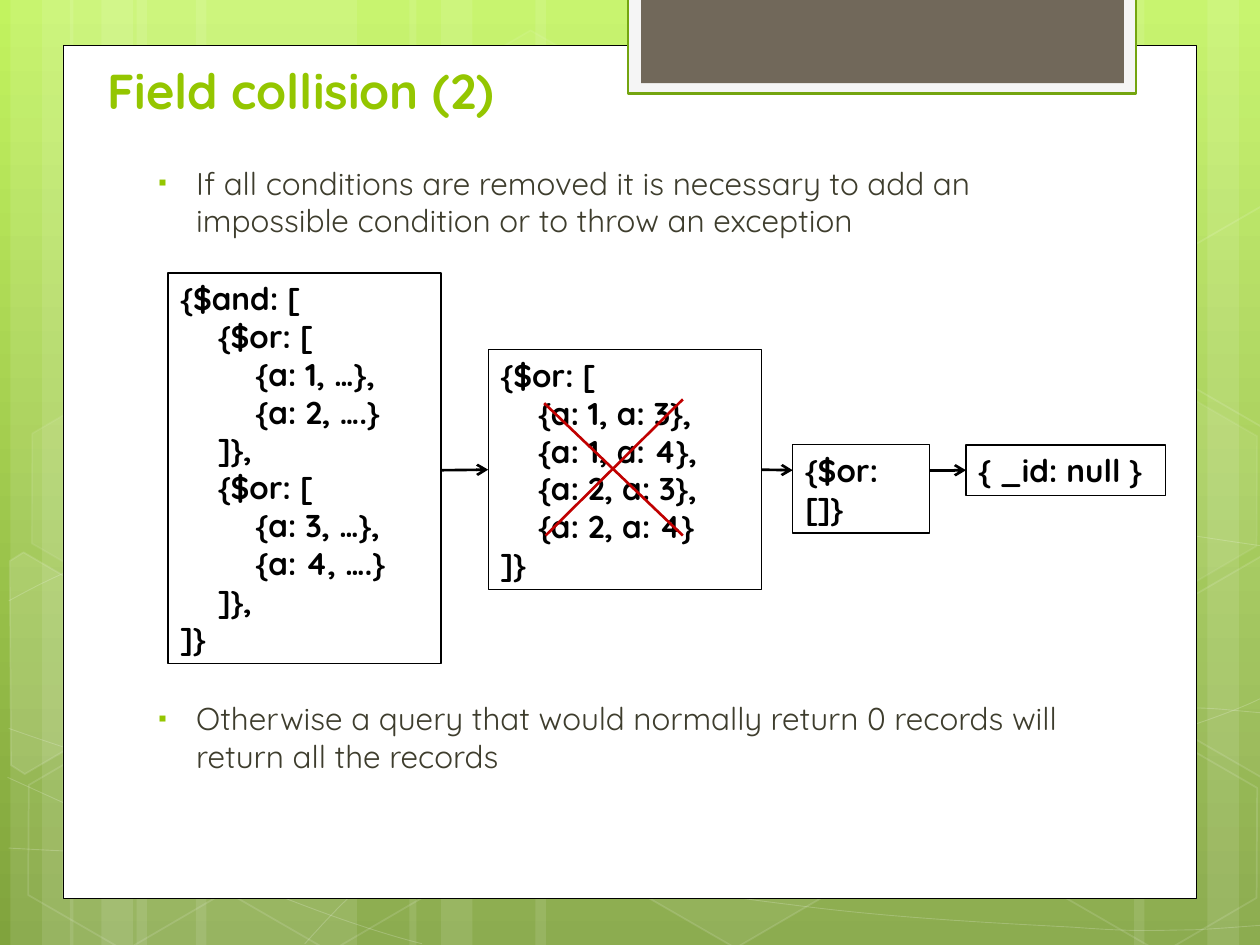
import math
from dataclasses import dataclass
from typing import Optional

from lxml import etree
from pptx import Presentation
from pptx.dml.color import RGBColor
from pptx.enum import shapes as es, text as et
from pptx.oxml.ns import qn
from pptx.util import Pt

FONT, WHITE, BLACK, GREEN, RED = "Quicksand", "FFFFFF", "000000", "94C600", "C00000"
TAB = 21.5  # indent of one nesting level
TILT = 30  # rotation of the hexagons


@dataclass
class Hexagon:
    x: float
    y: float
    fill_alpha: int
    line_alpha: int = 12


@dataclass
class CutHexagon:
    center: tuple
    points: list
    fill_alpha: int = 0


@dataclass
class CodeBox:
    x: float
    y: float
    w: float
    h: float
    lines: list  # (depth, text)


STRIPES = [(78, 126), (6, 36), (24, 60), (112, 126), (40, 36), (58, 60),
           (528, 126), (690, 36), (648, 60), (306, 222), (234, 36), (252, 60)]

# Start point, then three Bezier points for each segment
CURVES = [
    [(5, 484.6), (43.9, 486.7), (82.8, 488.9), (136.8, 488.2), (190.8, 487.4), (257.8, 486),
     (329.8, 478.8), (401.8, 471.6), (504, 457.9), (570.2, 444.2), (635.8, 430.6),
     (703.4, 409), (725, 396.7)],
    [(5, 343.4), (25.9, 331.9), (46.8, 321.1), (87.1, 310.3), (128.2, 299.5), (186.5, 283.7),
     (249.8, 278.6), (313.9, 273.6), (391.7, 272.9), (470.9, 278.6), (550.1, 284.4),
     (681.8, 306.7), (725, 312.5)],
    [(4.3, 444.2), (91.4, 483.8), (177.8, 523.4), (241.2, 539.3)],
    [(5, 416.2), (27.4, 424.1), (50.4, 432), (92.2, 443.5), (133.9, 454.3), (196.6, 472.3),
     (257, 484.6), (316.8, 496.8), (392.4, 509.8), (452.2, 517), (511.9, 524.9), (576, 527.8),
     (614.2, 529.9), (652.3, 532.8), (661.7, 531.4), (680.4, 531.4), (699, 530.6),
     (712, 529.2), (725, 528.5)],
    [(174.2, 539.3), (187.2, 524.9), (200.2, 510.5), (217.4, 497.5), (234.7, 483.8),
     (259.2, 470.2), (279.4, 460.1), (299.5, 450), (311.8, 445.7), (337.7, 438.5),
     (364.3, 431.3), (412.6, 421.2), (437.8, 416.2), (463.7, 411.1), (467.3, 411.1),
     (489.6, 409.7), (511.9, 407.5), (547.2, 405.4), (571.7, 404.6), (596.9, 403.9),
     (637.9, 404.6), (637.9, 404.6), (654, 404.6), (670, 404.6), (686.2, 404.6),
     (699, 405), (712, 406.8), (724.3, 407.5)],
]

HEXAGONS = [
    Hexagon(240.5, 26, 4, 8), Hexagon(357, 424, 6), Hexagon(8, 425.5, 0),
    Hexagon(10, 224.6, 7, 8), Hexagon(125.3, 426, 0), Hexagon(542.2, 326, 10),
    Hexagon(600.5, 427, 0), Hexagon(600.5, 226, 7, 8),
]

CUT_HEXAGONS = [
    CutHexagon((25.9, 385.9), [(5.8, 320.4), (13.7, 315.4), (69.1, 347.8), (68.4, 410.4),
                               (14.4, 442.1), (6.5, 437)], 10),
    CutHexagon((709.2, 374.4), [(666.7, 349.2), (721.4, 317.5), (726.5, 321.1),
                                (726.5, 441.4), (721.4, 444.2), (666.7, 412.6)], 4),
    CutHexagon((709.2, 173.5), [(666.7, 149), (721.4, 117.4), (727.2, 121), (726.5, 241.2),
                                (721.4, 244.1), (666.7, 212.4)]),
]

AND_BOX = CodeBox(96, 156, 156, 223.2, [
    (0, "{$and: ["), (1, "{$or: ["), (2, "{a: 1, …},"), (2, "{a: 2, ….}"), (1, "]},"),
    (1, "{$or: ["), (2, "{a: 3, …},"), (2, "{a: 4, ….}"), (1, "]},"), (0, "]}")])
OR_BOX = CodeBox(279, 199.9, 156, 137, [
    (0, "{$or: ["), (1, "{a: 1, a: 3},"), (1, "{a: 1, a: 4},"), (1, "{a: 2, a: 3},"),
    (1, "{a: 2, a: 4}"), (0, "]}")])
EMPTY_BOX = CodeBox(453, 254.2, 78, 50.4, [(0, "{$or: []}")])
NULL_BOX = CodeBox(552, 254.2, 114, 29, [(0, "{ _id: null }")])


def rgb(hex_: str) -> RGBColor:
    return RGBColor.from_string(hex_)


def assign(obj, **values) -> None:
    for name, value in values.items():
        setattr(obj, name, value)


def set_alpha(parent, percent: int) -> None:
    clr = parent.find(qn("a:solidFill"))[0]
    etree.SubElement(clr, qn("a:alpha"), val=str(percent * 1000))


def paint(sp, fill: Optional[str] = None, line: Optional[str] = None, width: float = 1,
          fill_alpha: int = 100, line_alpha: int = 100) -> None:
    sp.shadow.inherit = False
    pr = sp._element.spPr
    if fill and fill_alpha:
        sp.fill.solid()
        sp.fill.fore_color.rgb = rgb(fill)
        if fill_alpha < 100:
            set_alpha(pr, fill_alpha)
    else:
        sp.fill.background()
    if line:
        sp.line.color.rgb = rgb(line)
        sp.line.width = Pt(width)
        if line_alpha < 100:
            set_alpha(pr.find(qn("a:ln")), line_alpha)
    else:
        sp.line.fill.background()


def add_shape(s, x: float, y: float, w: float, h: float, kind=es.MSO_SHAPE.RECTANGLE):
    return s.shapes.add_shape(kind, Pt(x), Pt(y), Pt(w), Pt(h))


def add_outline(s, points: list, close: bool):
    pts = [(Pt(x), Pt(y)) for x, y in points]
    builder = s.shapes.build_freeform(*pts[0])
    builder.add_line_segments(pts[1:], close=close)
    return builder.convert_to_shape()


def add_curve(s, points: list):
    """Add an outline and turn each three line segments into one Bezier segment."""
    sp = add_outline(s, points, close=False)
    lines = list(sp._element.iter(qn("a:lnTo")))
    for i in range(0, len(lines), 3):
        bezier = etree.SubElement(lines[i].getparent(), qn("a:cubicBezTo"))
        for ln in lines[i:i + 3]:
            bezier.append(ln[0])
            ln.getparent().remove(ln)
    return sp


def add_cut_hexagon(s, cut: CutHexagon):
    cx, cy = cut.center
    cos, sin = math.cos(math.radians(TILT)), math.sin(math.radians(TILT))
    upright = [(cx + (x - cx) * cos + (y - cy) * sin, cy + (y - cy) * cos - (x - cx) * sin)
               for x, y in cut.points]
    sp = add_outline(s, upright, close=True)
    sp.rotation = TILT
    return sp


def add_text(p, text: str, size: float, color: str, bold: bool = False) -> None:
    r = p.add_run()
    r.text = text
    assign(r.font, name=FONT, size=Pt(size), bold=bold)
    r.font.color.rgb = rgb(color)


def add_bullet(p) -> None:
    pr = p._p.get_or_add_pPr()
    pr.set("marL", str(Pt(27)))
    pr.set("indent", str(Pt(-21.6)))
    clr = etree.SubElement(pr, qn("a:buClr"))
    etree.SubElement(clr, qn("a:srgbClr"), val=GREEN)
    etree.SubElement(pr, qn("a:buSzPct"), val="76000")
    etree.SubElement(pr, qn("a:buFont"), typeface="Arial")
    etree.SubElement(pr, qn("a:buChar"), char="▪")


def add_code_box(s, box: CodeBox):
    sp = add_shape(s, box.x, box.y, box.w, box.h)
    paint(sp, line=BLACK, width=0.75)
    tf = sp.text_frame
    assign(tf, word_wrap=True, vertical_anchor=et.MSO_ANCHOR.TOP,
           auto_size=et.MSO_AUTO_SIZE.SHAPE_TO_FIT_TEXT)
    for i, (depth, code) in enumerate(box.lines):
        p = tf.add_paragraph() if i else tf.paragraphs[0]
        p.alignment = et.PP_ALIGN.LEFT
        p._p.get_or_add_pPr().set("marL", str(Pt(depth * TAB)))
        add_text(p, code, 18, BLACK, bold=True)
    return sp


def add_line(s, x1: float, y1: float, x2: float, y2: float, color: str, arrow: bool = False):
    c = s.shapes.add_connector(es.MSO_CONNECTOR.STRAIGHT, Pt(x1), Pt(y1), Pt(x2), Pt(y2))
    c.line.color.rgb = rgb(color)
    c.line.width = Pt(1.5)
    if arrow:
        etree.SubElement(c.line._get_or_add_ln(), qn("a:tailEnd"), type="arrow")
    etree.SubElement(c._element.spPr, qn("a:effectLst"))
    return c


def add_backdrop(s) -> None:
    fill = s.background.fill
    fill.gradient()
    fill.gradient_angle = 270
    for stop, color in zip(fill.gradient_stops, ("C2F35F", "80A33D")):
        stop.color.rgb = rgb(color)
    for x, w in STRIPES:
        paint(add_shape(s, x, 0, w, 540), WHITE, fill_alpha=10)
    for curve in CURVES:
        paint(add_curve(s, curve), line=WHITE, width=0.5, line_alpha=20)
    for h in HEXAGONS:
        sp = add_shape(s, h.x, h.y, 126, 109.2, es.MSO_SHAPE.HEXAGON)
        sp.rotation = TILT
        sp.adjustments[0] = 0.285
        paint(sp, WHITE, WHITE, fill_alpha=h.fill_alpha, line_alpha=h.line_alpha)
    for cut in CUT_HEXAGONS:
        paint(add_cut_hexagon(s, cut), WHITE, WHITE, fill_alpha=cut.fill_alpha, line_alpha=12)
    paint(add_shape(s, 36, 26, 648, 487.5), WHITE, BLACK, 0.5)
    paint(add_shape(s, 359, -1.5, 290, 55), "F5F5F5", "74A510", 1.25)
    paint(add_shape(s, 366.3, -1.5, 276, 49), "71685A")


def add_title(s, text: str) -> None:
    title = s.shapes.title
    title._element.getparent().append(title._element)  # in front of the panel
    assign(title, left=Pt(54), top=Pt(24), width=Pt(306), height=Pt(48))
    assign(title.text_frame, word_wrap=True, auto_size=et.MSO_AUTO_SIZE.NONE,
           vertical_anchor=et.MSO_ANCHOR.BOTTOM)
    p = title.text_frame.paragraphs[0]
    p.alignment = et.PP_ALIGN.LEFT
    add_text(p, text, 28, GREEN, bold=True)


def add_body(s, items: list) -> None:
    """Add bulleted paragraphs from (space before, text) pairs."""
    tf = s.shapes.add_textbox(Pt(78), Pt(90), Pt(571.5), Pt(366)).text_frame
    tf.word_wrap = True
    for i, (space, text) in enumerate(items):
        p = tf.add_paragraph() if i else tf.paragraphs[0]
        p.space_before = Pt(space)
        add_bullet(p)
        add_text(p, text, 18, "3E3D2D")


def main() -> None:
    prs = Presentation()
    assign(prs, slide_width=Pt(720), slide_height=Pt(540))
    s = prs.slides.add_slide(prs.slide_layouts[5])
    add_backdrop(s)
    add_title(s, "Field collision (2)")
    add_body(s, [
        (4.5, "If all conditions are removed it is necessary to add an impossible condition "
              "or to throw an exception"),
        (262.7, "Otherwise a query that would normally return 0 records will return all "
                "the records")])

    _, null_sp, or_sp, _ = [add_code_box(s, b) for b in (AND_BOX, NULL_BOX, OR_BOX, EMPTY_BOX)]
    mid = NULL_BOX.y + NULL_BOX.h / 2
    to_or, to_empty, to_null = [
        add_line(s, a.x + a.w, mid, b.x, mid, BLACK, arrow=True)
        for a, b in ((AND_BOX, OR_BOX), (OR_BOX, EMPTY_BOX), (EMPTY_BOX, NULL_BOX))]
    to_or.end_connect(or_sp, 1)
    to_empty.begin_connect(or_sp, 3)
    to_null.end_connect(null_sp, 1)
    add_line(s, 311, 230.4, 390.2, 306, RED)
    add_line(s, 311.8, 306, 390.2, 228.2, RED)
    prs.save("out.pptx")


if __name__ == "__main__":
    main()
